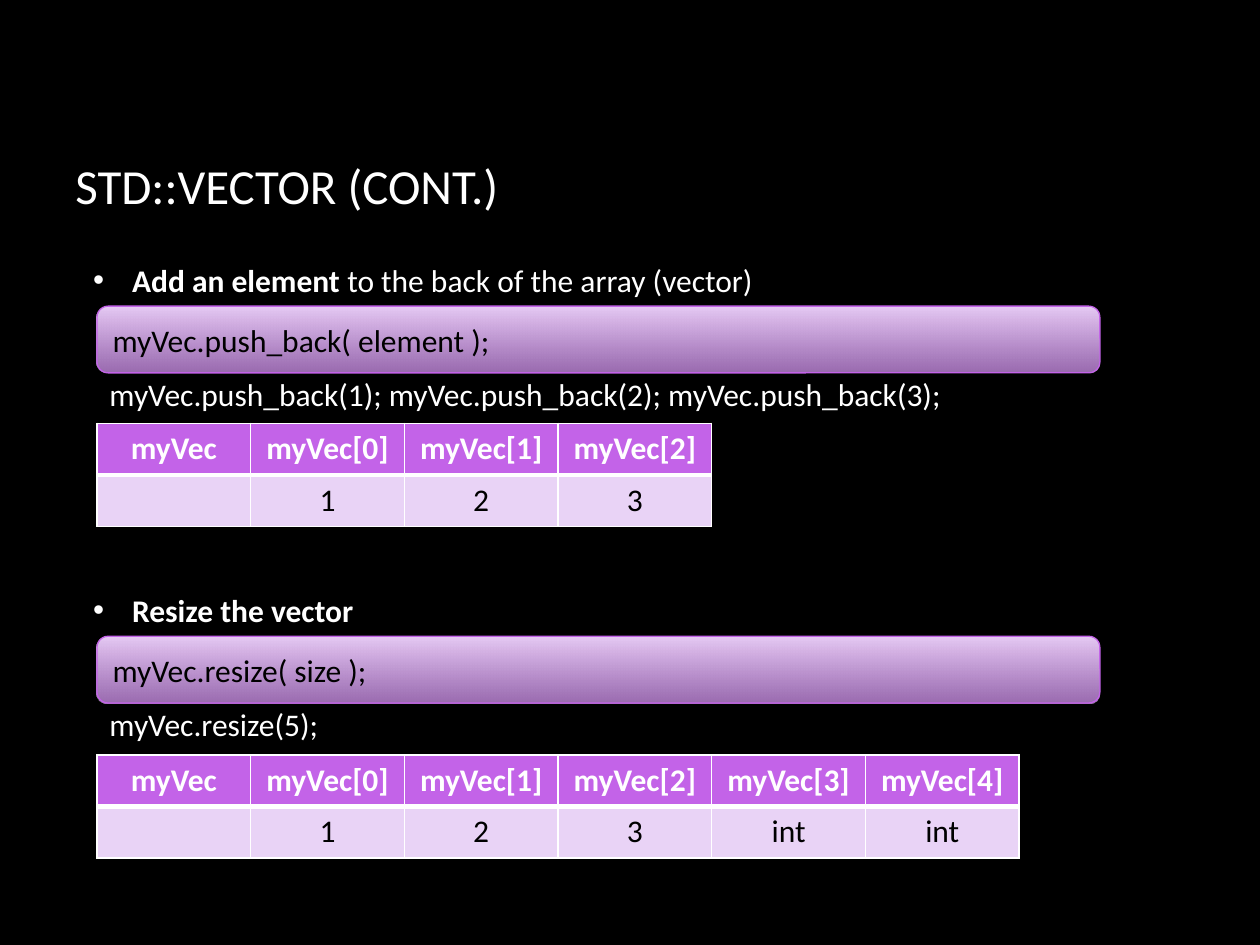
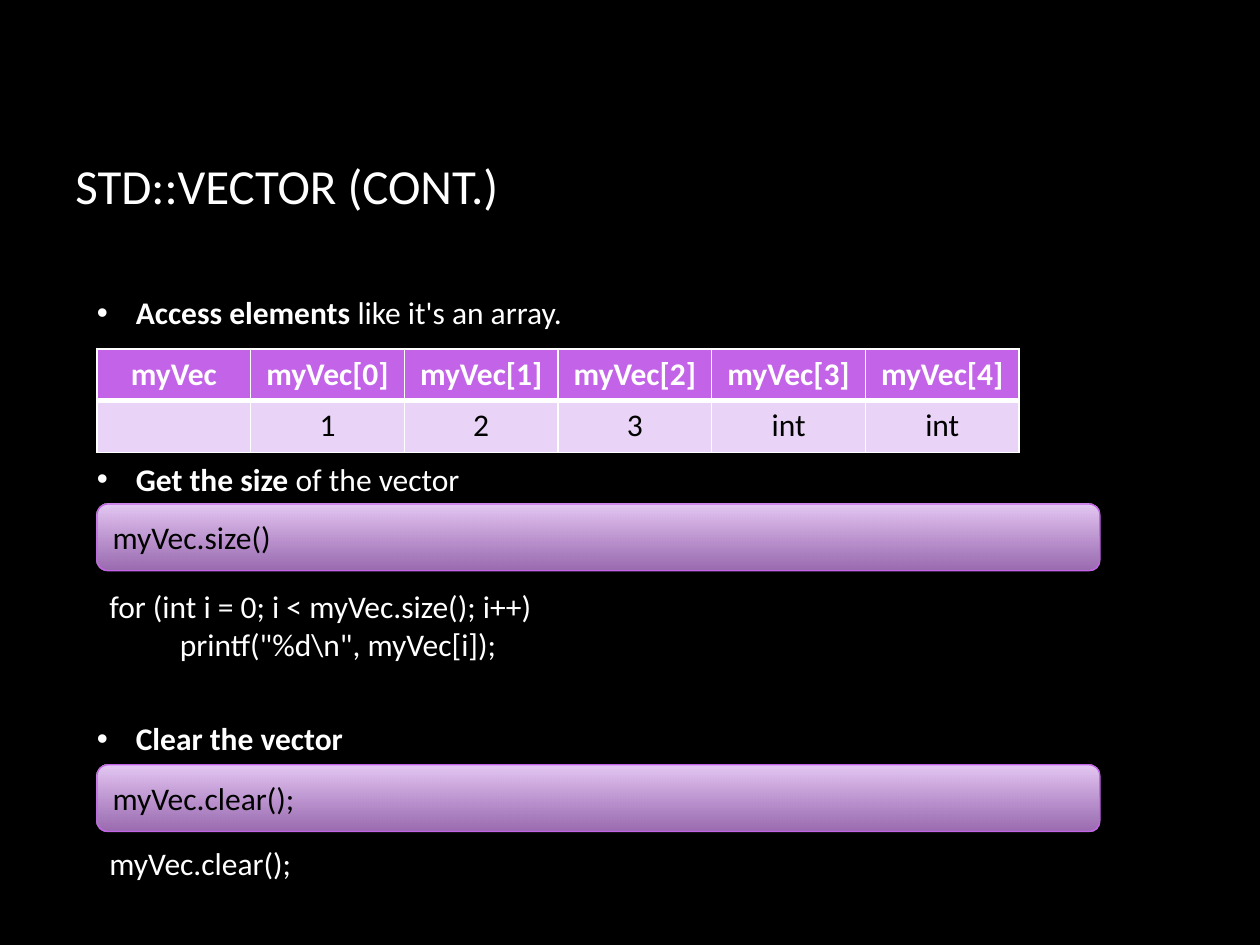
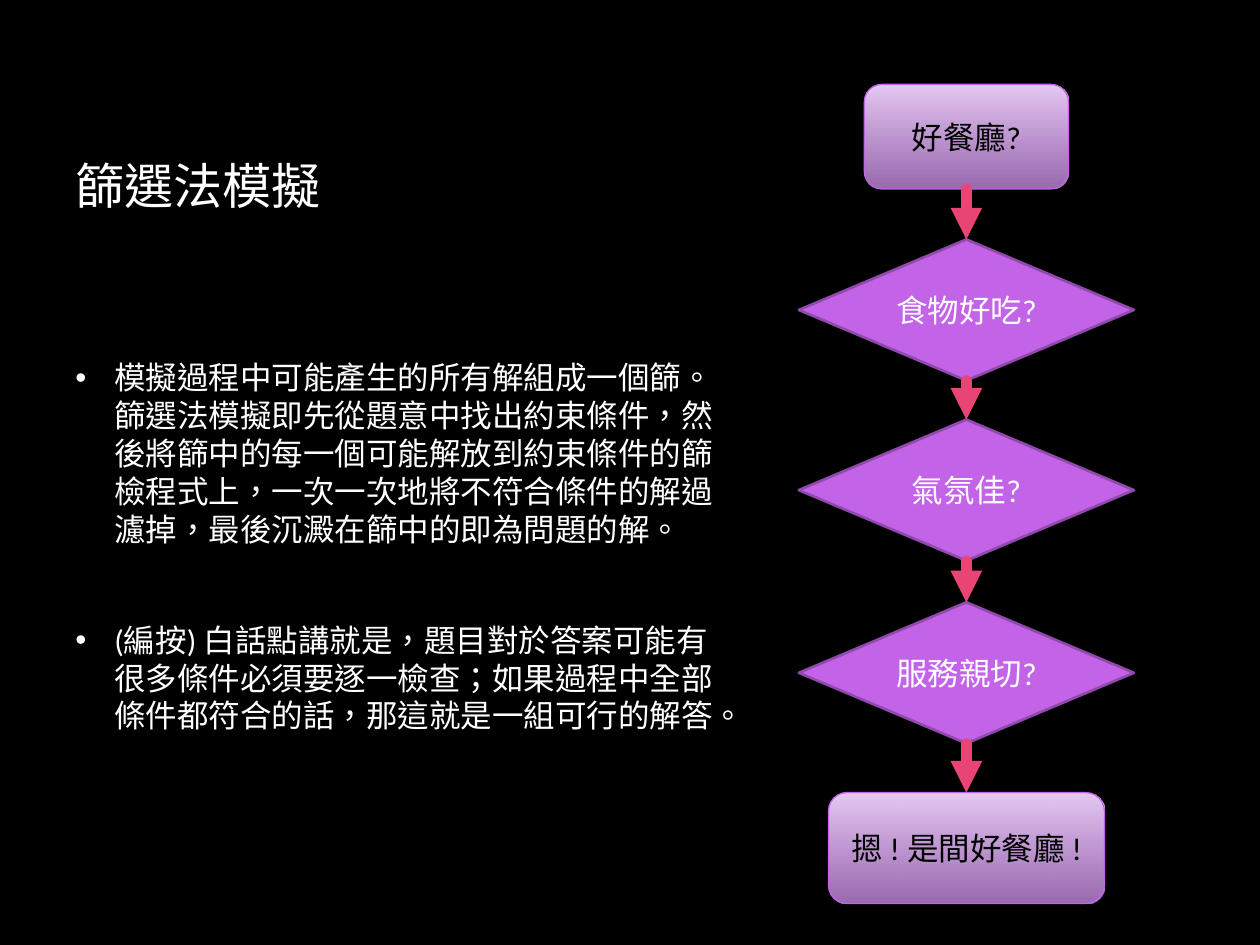
import pptx
import pptx.util
import pptx.dml.color
import pptx.enum.dml
import pptx.enum.lang
import pptx.enum.shapes
import pptx.enum.text
import pptx.oxml
import pptx.oxml.ns
from pptx.util import Inches, Pt

FONT = "Calibri"
HUES = {
    "back": "000000", "text": "FFFFFF", "dark": "000000",
    "main": "C363E8", "edge": "9049AC", "cell": "E9D3F6",
    "pale": "E7CAF5", "deep": "CF91EC", "arrow": "E84574",
}
KIND = pptx.enum.shapes.MSO_SHAPE
ALIGN = pptx.enum.text.PP_ALIGN
MIDDLE = pptx.enum.text.MSO_ANCHOR.MIDDLE

LEFT = 0.77        # edge of the code bars, tables and samples
BAR = (7.96, 0.53)
COL, ROW = 1.22, 0.41
INDENT = 0.31
AXIS = 7.67        # centre line of the flow chart

THREE = ["1", "2", "3"]
FIVE = THREE + ["int", "int"]

# Each part: kind, top, content, and for texts the width
VECTOR = [
    {
        "title": "STD::VECTOR (CONT.)", "points": 0.64,
        "parts": [
            ("bar", 2.43, "myVec.push_back( element );"),
            ("table", 3.36, THREE),
            ("bar", 5.05, "myVec.resize( size );"),
            ("table", 5.99, FIVE),
            ("point", 2.02, ("Add an element ", "to the back of the array (vector)"), 5.48),
            ("code", 2.93,
             ["myVec.push_back(1); myVec.push_back(2); myVec.push_back(3);"], 6.88),
            ("point", 4.64, ("Resize the vector", ""), 2.29),
            ("code", 5.55, ["myVec.resize(5);"], 1.88),
        ],
    },
    {
        "title": "STD::VECTOR (CONT.)", "points": 0.67,
        "parts": [
            ("table", 2.77, FIVE),
            ("bar", 4.0, "myVec.size()"),
            ("bar", 6.07, "myVec.clear();"),
            ("point", 2.28, ("Access elements ", "like it's an array."), 3.93),
            ("point", 3.6, ("Get the size ", "of the vector"), 3.11),
            ("code", 4.61,
             ["for (int i = 0; i < myVec.size(); i++)", 'printf("%d\\n", myVec[i]);'], 3.6),
            ("point", 5.66, ("Clear the vector", ""), 2.17),
            ("code", 6.65, ["myVec.clear();"], 1.66),
        ],
    },
]

SIEVE = {
    "title": "篩選法模擬",
    "body": [
        "模擬過程中可能產生的所有解組成一個篩。篩選法模擬即先從題意中找出約束條件，"
        "然後將篩中的每一個可能解放到約束條件的篩檢程式上，一次一次地將不符合條件的解過濾掉，"
        "最後沉澱在篩中的即為問題的解。",
        "(編按) 白話點講就是，題目對於答案可能有很多條件必須要逐一檢查；"
        "如果過程中全部條件都符合的話，那這就是一組可行的解答。",
    ],
    # shape, text, top, width, height
    "flow": [
        (KIND.FLOWCHART_ALTERNATE_PROCESS, "好餐廳?", 0.67, 1.62, 0.83),
        (KIND.FLOWCHART_DECISION, "食物好吃?", 1.9, 2.66, 1.12),
        (KIND.FLOWCHART_DECISION, "氣氛佳?", 3.33, 2.66, 1.12),
        (KIND.FLOWCHART_DECISION, "服務親切?", 4.78, 2.66, 1.12),
        (KIND.ROUNDED_RECTANGLE, "摁 ! 是間好餐廳 !", 6.29, 2.19, 0.88),
    ],
}


def hue(name):
    return pptx.dml.color.RGBColor.from_string(HUES[name])


def node(tag, **attrs):
    item = pptx.oxml.parse_xml(f"<a:{tag} {pptx.oxml.ns.nsdecls('a')}/>")
    for key, value in attrs.items():
        item.set(key, str(value))
    return item


def write(para, text, color="text", size=18, bold=False):
    run = para.add_run()
    run.text = text
    font = run.font
    font.name, font.size, font.bold = FONT, Pt(size), bold
    font.color.rgb = hue(color)
    if not text.isascii():
        font.language_id = pptx.enum.lang.MSO_LANGUAGE_ID.TRADITIONAL_CHINESE


def bullet(para):
    props = para._p.get_or_add_pPr()
    props.set("marL", str(Inches(INDENT)))
    props.set("indent", str(-Inches(INDENT)))
    props.append(node("buFont", typeface="Arial"))
    props.append(node("buChar", char="•"))


def add_box(slide, left, top, width, height, wrap=True):
    box = slide.shapes.add_textbox(*map(Inches, (left, top, width, height)))
    frame = box.text_frame
    frame.word_wrap = wrap
    if wrap:
        frame.vertical_anchor = MIDDLE
    else:
        frame.auto_size = pptx.enum.text.MSO_AUTO_SIZE.SHAPE_TO_FIT_TEXT
    return frame


def add_page(deck, title):
    slide = deck.slides.add_slide(deck.slide_layouts[6])
    fill = slide.background.fill
    fill.solid()
    fill.fore_color.rgb = hue("back")
    write(add_box(slide, 0.5, 0.67, 8.5, 1.59).paragraphs[0], title, size=28)
    return slide


def shade(shape):
    """Fill with the pale-to-deep gradient, its lower end see-through."""
    fill = shape.fill
    fill.gradient()
    fill.gradient_angle = 270
    for stop, name, place in zip(fill.gradient_stops, ("pale", "deep"), (0, 1)):
        stop.color.rgb = hue(name)
        stop.position = place
    colors = shape.element.spPr.findall(".//" + pptx.oxml.ns.qn("a:gs"))
    colors[-1][0].append(node("alpha", val=74000))


def add_block(slide, kind, text, left, top, width, height, align):
    shape = slide.shapes.add_shape(kind, *map(Inches, (left, top, width, height)))
    shape.shadow.inherit = False
    test = kind == KIND.FLOWCHART_DECISION
    if test:
        shape.fill.solid()
        shape.fill.fore_color.rgb = hue("main")
    else:
        shade(shape)
    shape.line.color.rgb = hue("edge" if test else "main")
    shape.line.width = Pt(1.5 if test else 0.75)
    frame = shape.text_frame
    frame.word_wrap = True
    frame.vertical_anchor = MIDDLE
    para = frame.paragraphs[0]
    para.alignment = align
    write(para, text, "text" if test else "dark")


def edge(cell, head):
    """Draw the white cell borders, thick between header and body."""
    props = cell._tc.get_or_add_tcPr()
    for spot, side in enumerate("LRTB"):
        thick = side == ("B" if head else "T")
        line = node("ln" + side, w=Pt(3 if thick else 1))
        fill = node("solidFill")
        fill.append(node("srgbClr", val=HUES["text"]))
        line.append(fill)
        props.insert(spot, line)


def add_grid(slide, top, values):
    names = ["myVec"] + [f"myVec[{i}]" for i in range(len(values))]
    rows = [names, [""] + values]
    size = (LEFT, top, COL * len(names), ROW * len(rows))
    table = slide.shapes.add_table(len(rows), len(names), *map(Inches, size)).table
    for col in table.columns:
        col.width = Inches(COL)
    for r, row in enumerate(rows):
        table.rows[r].height = Inches(ROW)
        head = r == 0
        for c, text in enumerate(row):
            cell = table.cell(r, c)
            cell.fill.solid()
            cell.fill.fore_color.rgb = hue("main" if head else "cell")
            edge(cell, head)
            if text:
                para = cell.text_frame.paragraphs[0]
                para.alignment = ALIGN.CENTER
                write(para, text, "text" if head else "dark", bold=head)


def add_point(slide, left, top, texts, width):
    para = add_box(slide, left, top, width, 0.4, False).paragraphs[0]
    bullet(para)
    for text, bold in zip(texts, (True, False)):
        if text:
            write(para, text, bold=bold)


def add_code(slide, top, lines, width):
    frame = add_box(slide, LEFT, top, width, 0.1 + 0.3 * len(lines), False)
    for i, line in enumerate(lines):
        para = frame.add_paragraph() if i else frame.paragraphs[0]
        if i:
            para._p.get_or_add_pPr().set("marL", str(Inches(0.56)))
        write(para, line)


def add_arrow(slide, start, end):
    ends = map(Inches, (AXIS, start, AXIS, end))
    arrow = slide.shapes.add_connector(pptx.enum.shapes.MSO_CONNECTOR.STRAIGHT, *ends)
    arrow.line.color.rgb = hue("arrow")
    arrow.line.width = Pt(6)
    line = arrow.line._get_or_add_ln()
    line.set("cap", "rnd")
    line.append(node("tailEnd", type="triangle"))
    arrow.element.spPr.append(node("effectLst"))


def vector_page(deck, page):
    slide = add_page(deck, page["title"])
    for kind, top, *rest in page["parts"]:
        if kind == "bar":
            add_block(slide, KIND.ROUNDED_RECTANGLE, rest[0], LEFT, top, *BAR, ALIGN.LEFT)
        elif kind == "table":
            add_grid(slide, top, rest[0])
        elif kind == "point":
            add_point(slide, page["points"], top, *rest)
        else:
            add_code(slide, top, *rest)


def sieve_page(deck, page):
    slide = add_page(deck, page["title"])
    frame = add_box(slide, 0.5, 2.34, 5.46, 3.99)
    for i, text in enumerate(page["body"]):
        para = frame.add_paragraph() if i else frame.paragraphs[0]
        para.space_after = Pt(10 if i else 42)
        bullet(para)
        write(para, text)
    flow = page["flow"]
    for kind, text, top, width, height in flow:
        add_block(slide, kind, text, AXIS - width / 2, top, width, height, ALIGN.CENTER)
    for above, below in zip(flow, flow[1:]):
        add_arrow(slide, above[2] + above[4], below[2])


def main():
    deck = pptx.Presentation()
    deck.slide_width, deck.slide_height = Inches(10), Inches(7.5)
    for page in VECTOR:
        vector_page(deck, page)
    sieve_page(deck, SIEVE)
    deck.save("out.pptx")


if __name__ == "__main__":
    main()
